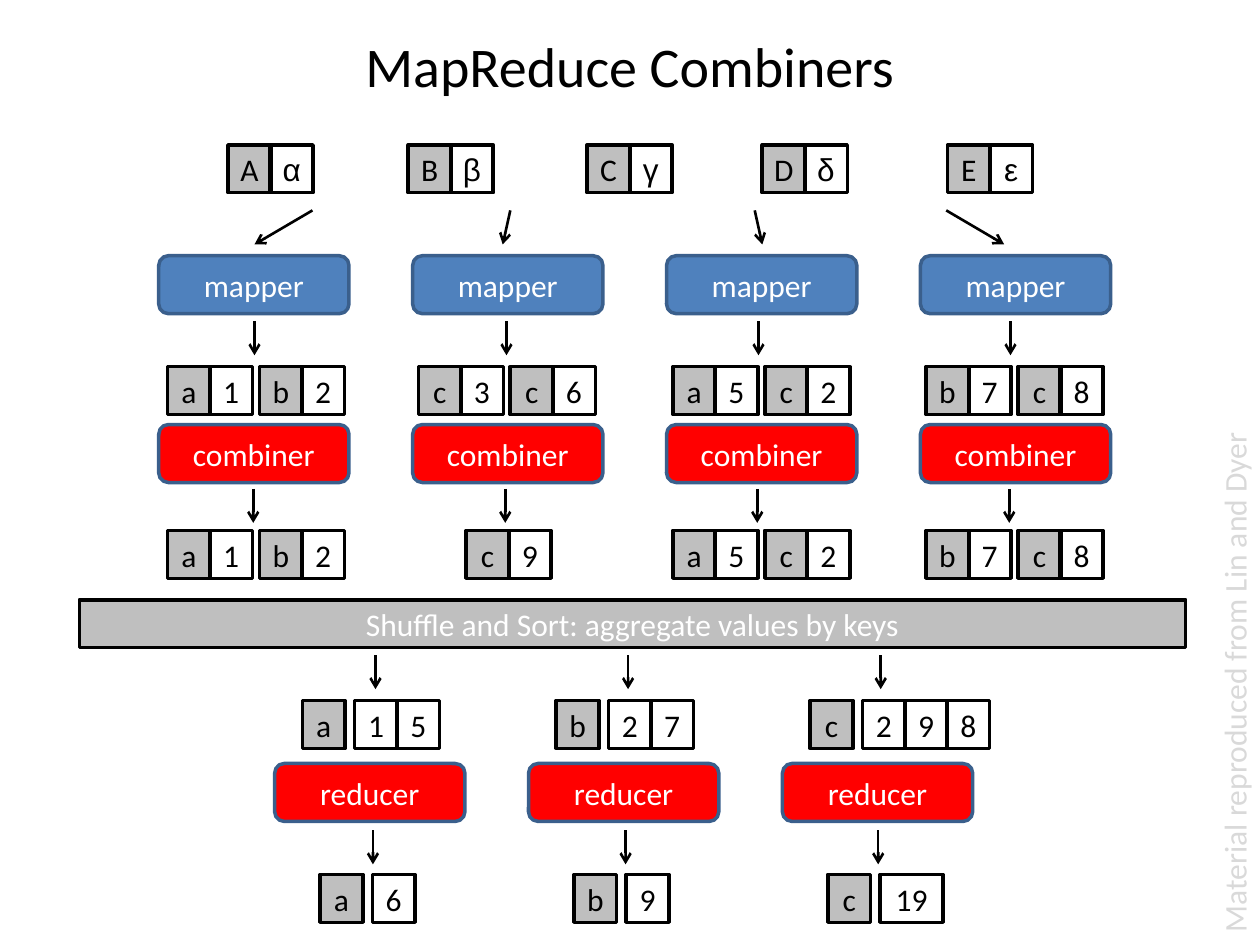
from lxml.etree import SubElement
from pptx import Presentation
from pptx.dml.color import RGBColor
from pptx.enum.shapes import MSO_CONNECTOR, MSO_SHAPE
from pptx.enum.text import MSO_ANCHOR, PP_ALIGN
from pptx.oxml.ns import qn
from pptx.util import Inches, Pt

BLACK = RGBColor(0x00, 0x00, 0x00)
WHITE = RGBColor(0xFF, 0xFF, 0xFF)
GRAY = RGBColor(0xBF, 0xBF, 0xBF)
PALE_GRAY = RGBColor(0xD9, 0xD9, 0xD9)
BLUE = RGBColor(0x4F, 0x81, 0xBD)
DARK_BLUE = RGBColor(0x3A, 0x5F, 0x8C)
RED = RGBColor(0xFF, 0x00, 0x00)

CELL_W, CELL_H = 0.34, 0.38
CELL_STEP = 0.335    # neighbouring cells share a border
PAIR_STEP = 0.73     # from one key-value pair to the next
VALUE_OFFSET = 0.415  # from a key to its separate list of values
COLUMN_STEP = 2.015


def write(frame, text, size=18, color=BLACK, font="Calibri",
          align=PP_ALIGN.CENTER, anchor=MSO_ANCHOR.MIDDLE, wrap=True):
    frame.word_wrap = wrap
    frame.vertical_anchor = anchor
    paragraph = frame.paragraphs[0]
    paragraph.alignment = align
    run = paragraph.add_run()
    run.text = text
    run.font.size = Pt(size)
    run.font.name = font
    run.font.color.rgb = color


class Diagram:
    def __init__(self, slide):
        self.slide = slide

    def label(self, text, left, top, width, height, rotation=0, **style):
        box = self.slide.shapes.add_textbox(
            Inches(left), Inches(top), Inches(width), Inches(height))
        box.rotation = rotation
        write(box.text_frame, text, **style)

    def box(self, text, left, top, width, height, fill=None, line=BLACK,
            kind=MSO_SHAPE.RECTANGLE, **style):
        shape = self.slide.shapes.add_shape(
            kind, Inches(left), Inches(top), Inches(width), Inches(height))
        shape.shadow.inherit = False
        if fill is None:
            shape.fill.background()
        else:
            shape.fill.solid()
            shape.fill.fore_color.rgb = fill
        shape.line.color.rgb = line
        shape.line.width = Pt(2)
        shape.text_frame.margin_left = shape.text_frame.margin_right = 0
        write(shape.text_frame, text, **style)

    def stage(self, text, left, top, fill):
        self.box(text, left, top, 1.51, 0.46, fill, DARK_BLUE,
                 MSO_SHAPE.ROUNDED_RECTANGLE, color=WHITE)

    def key(self, text, left, top):
        self.box(text, left, top, CELL_W, CELL_H, GRAY)

    def value(self, text, left, top, width=CELL_W, **style):
        self.box(text, left, top, width, CELL_H, **style)

    def pairs(self, cells, left, top, **style):
        """Each pair is a key letter followed by its value, as in "a1"."""
        for i, (key, value) in enumerate(cells.split()):
            pair_left = left + i * PAIR_STEP
            self.key(key, pair_left, top)
            self.value(value, pair_left + CELL_STEP, top, **style)

    def arrow(self, x1, y1, x2, y2):
        line = self.slide.shapes.add_connector(
            MSO_CONNECTOR.STRAIGHT,
            Inches(x1), Inches(y1), Inches(x2), Inches(y2))
        line.line.color.rgb = BLACK
        line.line.width = Pt(1.5)
        SubElement(line.line._get_or_add_ln(), qn("a:tailEnd"), type="arrow")
        SubElement(line._element.spPr, qn("a:effectLst"))

    def down_arrows(self, count, left, top, step):
        for i in range(count):
            x = left + i * step
            self.arrow(x, top, x, top + 0.27)


def main():
    prs = Presentation()
    prs.slide_width, prs.slide_height = Inches(10), Inches(7.5)
    diagram = Diagram(prs.slides.add_slide(prs.slide_layouts[6]))

    diagram.label("MapReduce Combiners", 0.5, 0.17, 9, 0.7, size=32)

    # Input records and the arrows into the mappers
    for record, left in zip(("Aα", "Bβ", "Cγ", "Dδ", "Eε"),
                            (1.81, 3.24, 4.66, 6.05, 7.52)):
        diagram.pairs(record, left, 1.15, font="Arial")
    for start, end in ((2.48, 2.02), (4.05, 3.99), (5.99, 6.05), (7.51, 7.97)):
        diagram.arrow(start, 1.67, end, 1.94)

    # Mappers and combiners
    for i in range(4):
        left = 1.26 + i * COLUMN_STEP
        diagram.stage("mapper", left, 2.03, BLUE)
        diagram.stage("combiner", left, 3.37, RED)
    diagram.down_arrows(4, 2.02, 2.55, 2)
    diagram.down_arrows(4, 2.01, 3.88, 2)

    # Pairs before and after combining
    mapped = (("a1 b2", 1.33), ("c3 c6", 3.32), ("a5 c2", 5.34), ("b7 c8", 7.35))
    combined = (mapped[0], ("c9", 3.7), *mapped[2:])
    for row, top in ((mapped, 2.91), (combined, 4.21)):
        for cells, left in row:
            diagram.pairs(cells, left, top)

    # Shuffle and sort
    diagram.box("Shuffle and Sort: aggregate values by keys",
                0.63, 4.76, 8.78, CELL_H, GRAY, color=WHITE)
    diagram.down_arrows(3, 2.98, 5.2, 2.005)

    # Grouped values, reducers and results
    groups = (("a", "15", "6"), ("b", "27", "9"), ("c", "298", "19"))
    for i, (key, values, result) in enumerate(groups):
        shift = i * COLUMN_STEP
        diagram.key(key, 2.4 + shift, 5.56)
        for j, value in enumerate(values):
            diagram.value(
                value, 2.4 + shift + VALUE_OFFSET + j * CELL_STEP, 5.56)
        diagram.stage("reducer", 2.18 + shift, 6.06, RED)
        diagram.key(key, 2.54 + shift, 6.94)
        diagram.value(result, 2.54 + shift + VALUE_OFFSET, 6.94,
                      0.5 if len(result) > 1 else CELL_W)
    diagram.down_arrows(3, 2.96, 6.59, 2.005)

    # Source credit along the right edge
    diagram.label("Material reproduced from Lin and Dyer", 7.69, 5.19, 4.21, 0.4,
                  rotation=270, color=PALE_GRAY, align=PP_ALIGN.LEFT,
                  anchor=MSO_ANCHOR.TOP, wrap=False)

    prs.save("out.pptx")


if __name__ == "__main__":
    main()
